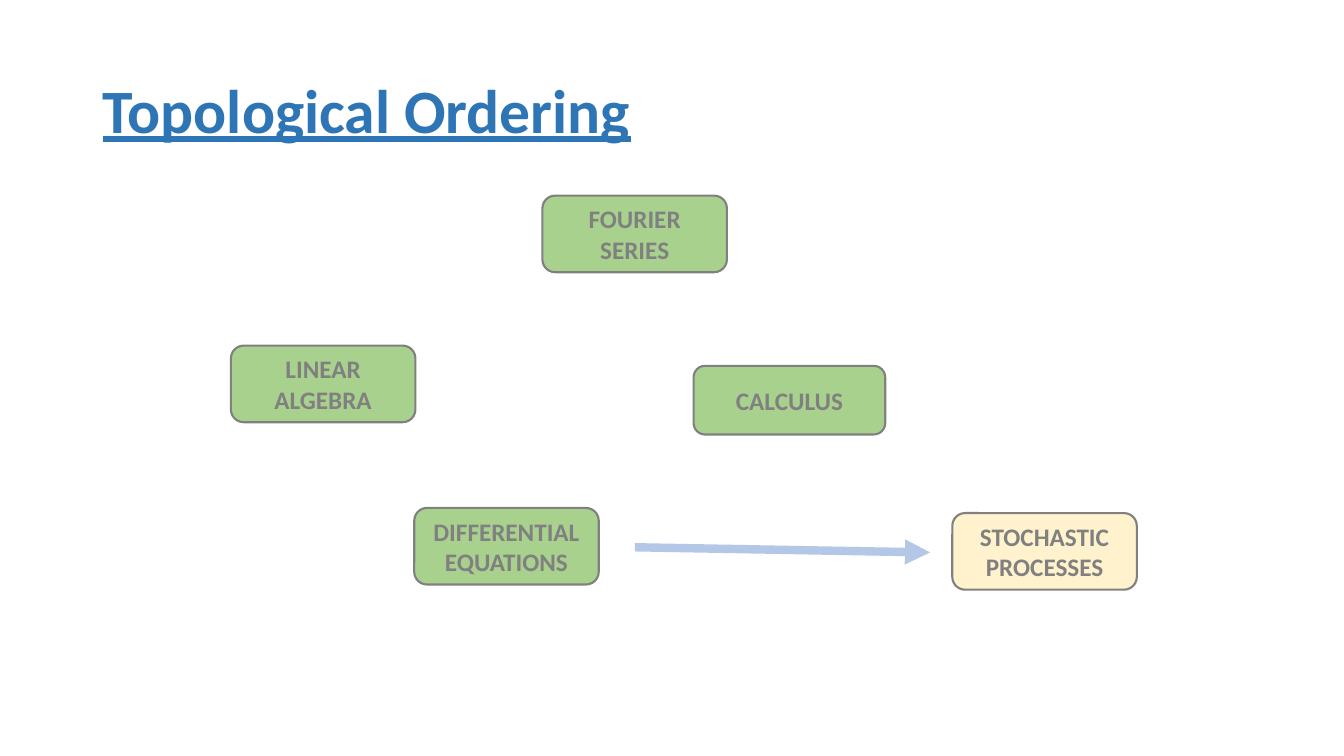
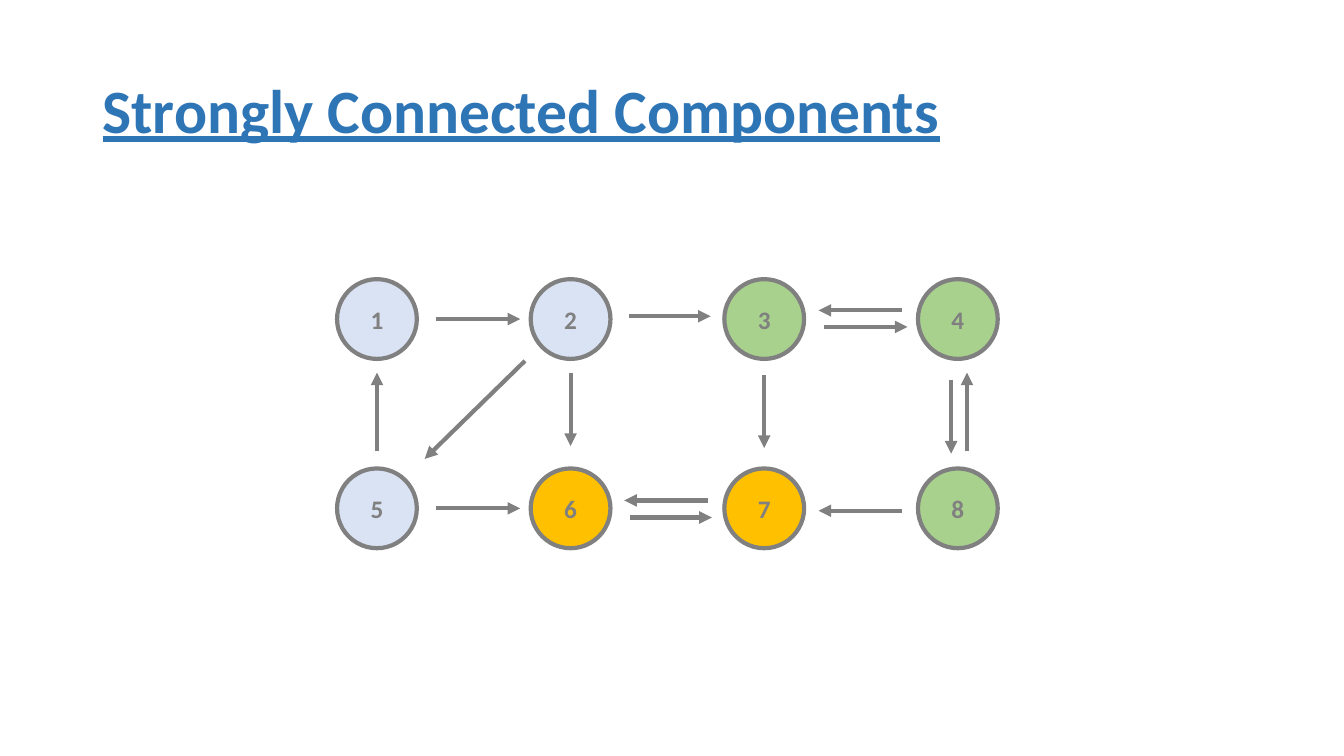
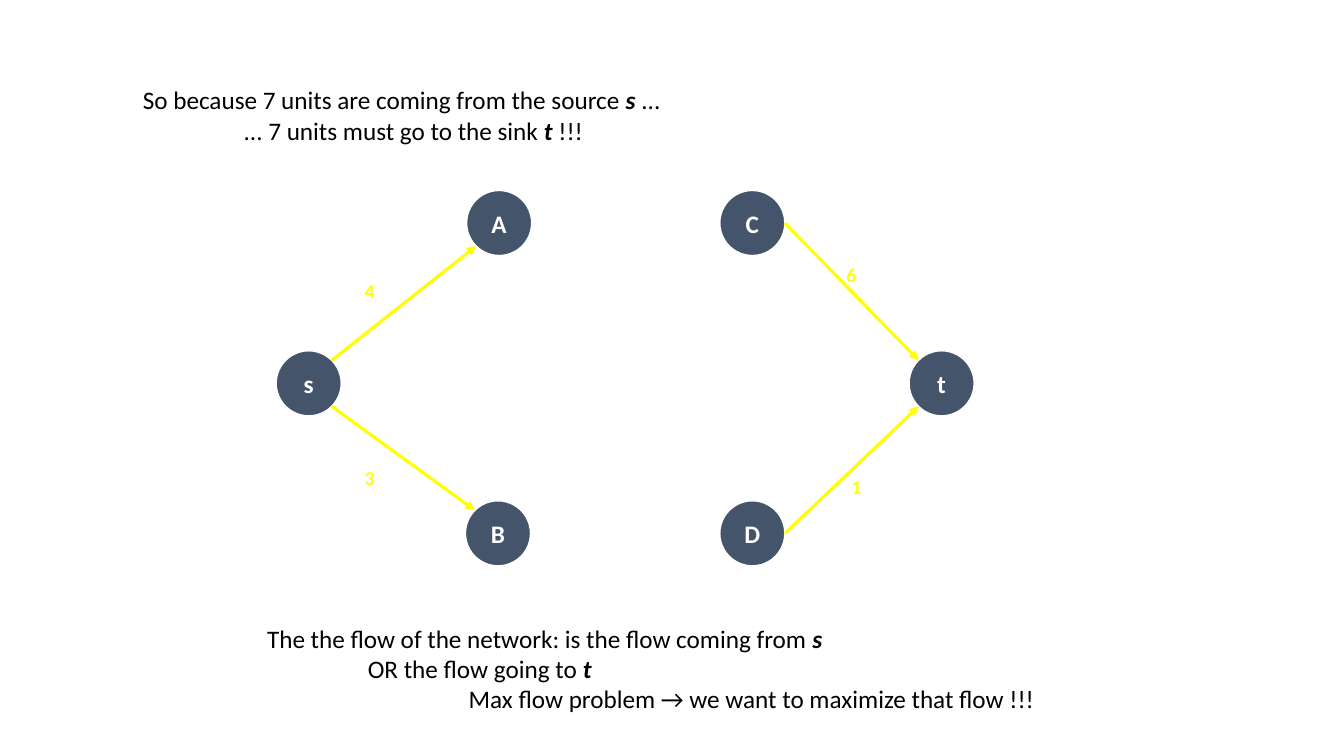
from math import cos, hypot, radians, sin

from lxml.etree import SubElement
from pptx import Presentation
from pptx.dml.color import RGBColor
from pptx.enum.shapes import MSO_CONNECTOR as Link, MSO_SHAPE as Kind
from pptx.enum.text import MSO_ANCHOR as Anchor, MSO_AUTO_SIZE as Fit, PP_ALIGN as Align
from pptx.oxml.ns import qn
from pptx.util import Cm, Pt

# Shared look
FONT = "Calibri"
BLUE = RGBColor(0x2E, 0x75, 0xB6)
GRAY = RGBColor(0x80, 0x80, 0x80)
GREEN = RGBColor(0xA9, 0xD1, 0x8E)
CREAM = RGBColor(0xFF, 0xF2, 0xCC)
SKY = RGBColor(0xB4, 0xC7, 0xE7)
PALE = RGBColor(0xDA, 0xE3, 0xF3)
GOLD = RGBColor(0xFF, 0xC0, 0x00)
SLATE = RGBColor(0x44, 0x54, 0x6A)
YELLOW = RGBColor(0xFF, 0xFF, 0x00)
WHITE = RGBColor(0xFF, 0xFF, 0xFF)
BLACK = RGBColor(0, 0, 0)

# Courses: text, left, top, width, height, fill
COURSES = [
    ("FOURIER SERIES", 13.67, 4.93, 4.65, 1.93, GREEN),
    ("LINEAR ALGEBRA", 5.82, 8.71, 4.65, 1.93, GREEN),
    ("DIFFERENTIAL\nEQUATIONS", 10.44, 12.8, 4.65, 1.93, GREEN),
    ("STOCHASTIC PROCESSES", 24, 12.93, 4.65, 1.93, CREAM),
    ("CALCULUS", 17.48, 9.22, 4.83, 1.73, GREEN),
]
NEXT = (16, 13.79), (23.44, 13.92)

# Graph: fills of nodes 1 to 8, four to a row
FILLS = [PALE, PALE, GREEN, GREEN, PALE, GOLD, GOLD, GREEN]
COLS, BALL = 4, 2.01
FIRST, STEP = (9.5, 8.04), (4.88, 4.77)
# Arcs: from, to, gap at start, gap at end, shift to the right of travel
ARCS = [
    (5, 1, 1.45, 1.35, 0), (8, 4, 1.45, 1.35, 0.23),
    (4, 8, 1.53, 1.38, 0.17), (3, 7, 1.42, 1.52, 0),
    (2, 6, 1.35, 1.57, 0), (2, 5, 1.56, 1.73, 0.05),
    (1, 2, 1.5, 1.27, 0), (5, 6, 1.5, 1.27, 0),
    (2, 3, 1.48, 1.35, -0.07), (3, 4, 1.5, 1.27, 0.2),
    (4, 3, 1.4, 1.37, 0.22), (6, 7, 1.5, 1.32, 0.23),
    (7, 6, 1.42, 1.35, 0.2), (8, 7, 1.4, 1.37, -0.06),
]

# Flow network: node centres, then pipes with their angles and labels
DISC = 1.64
NODES = {
    "s": (7.78, 9.66), "A": (12.58, 5.62), "C": (18.96, 5.62),
    "t": (23.73, 9.66), "B": (12.55, 13.44), "D": (18.96, 13.44),
}
PIPES = [
    ("s", "A", -45, 135, "4", (8.94, 6.91)),
    ("s", "B", 45, -135, "3", (8.94, 11.61)),
    ("D", "t", 0, 135, "1", (21.21, 11.84)),
    ("C", "t", 0, -135, "6", (21.08, 6.5)),
]
# Notes: text with *strong* names, left, top, width, height
NOTES = [
    ("So because 7 units are coming from the source *s* ...\n"
     "... 7 units must go to the sink *t* !!!", 3.35, 2.01, 16.28, 1.8),
    ("The the flow of the network: is the flow coming from *s*\n"
     "OR the flow going to *t*\n"
     "Max flow problem → we want to maximize that flow !!!", 6.48, 15.57, 22.48, 2.57),
]


def put(frame, text, size=18, color=GRAY, bold=True, under=False,
        align=Align.CENTER, anchor=Anchor.MIDDLE, space=1.0, indent=0):
    """Write lines; each is indented one step more, *marked* parts stand out."""
    frame.word_wrap = True
    frame.auto_size = Fit.NONE
    frame.vertical_anchor = anchor
    for i, row in enumerate(text.split("\n")):
        para = frame.add_paragraph() if i else frame.paragraphs[0]
        para.alignment, para.line_spacing = align, space
        if indent and i:
            para._p.get_or_add_pPr().set("marL", str(Cm(indent * i)))
        for j, part in enumerate(row.split("*")):
            if not part:
                continue
            run = para.add_run()
            run.text = part
            font = run.font
            font.name, font.size = FONT, Pt(size)
            font.bold, font.italic = bold or j % 2 == 1, j % 2 == 1
            font.underline = under
            font.color.rgb = color


def node(slide, kind, text, x, y, w, h, fill, edge=GRAY, width=1.5, color=GRAY):
    shape = slide.shapes.add_shape(kind, Cm(x), Cm(y), Cm(w), Cm(h))
    shape.shadow.inherit = False
    shape.fill.solid()
    shape.fill.fore_color.rgb = fill
    shape.line.color.rgb = edge
    shape.line.width = Pt(width)
    put(shape.text_frame, text, color=color)


def ball(slide, text, mid, size, fill, **look):
    x, y = (m - size / 2 for m in mid)
    node(slide, Kind.OVAL, text, x, y, size, size, fill, **look)


def arrow(slide, start, end, color, width):
    ends = [Cm(v) for v in (*start, *end)]
    link = slide.shapes.add_connector(Link.STRAIGHT, *ends)
    link.line.color.rgb = color
    link.line.width = Pt(width)
    props = link._element.spPr
    SubElement(props.find(qn("a:ln")), qn("a:tailEnd"), type="triangle")
    SubElement(props, qn("a:effectLst"))


def note(slide, text, x, y, w, h, **look):
    box = slide.shapes.add_textbox(Cm(x), Cm(y), Cm(w), Cm(h))
    put(box.text_frame, text, align=Align.LEFT, anchor=Anchor.TOP, **look)


def titled(deck, text):
    slide = deck.slides.add_slide(deck.slide_layouts[5])
    put(slide.shapes.title.text_frame, text, size=44, color=BLUE,
        under=True, align=Align.LEFT, space=0.9)
    return slide


def order(deck):
    slide = titled(deck, "Topological Ordering")
    for course in COURSES:
        node(slide, Kind.ROUNDED_RECTANGLE, *course)
    arrow(slide, *NEXT, SKY, 6)


def graph(deck):
    slide = titled(deck, "Strongly Connected Components")
    mids = {}
    for i, fill in enumerate(FILLS):
        row, col = divmod(i, COLS)
        mids[i + 1] = FIRST[0] + col * STEP[0], FIRST[1] + row * STEP[1]
        ball(slide, str(i + 1), mids[i + 1], BALL, fill, width=3)
    for a, b, near, far, shift in ARCS:
        (ax, ay), (bx, by) = mids[a], mids[b]
        span = hypot(bx - ax, by - ay)
        ux, uy = (bx - ax) / span, (by - ay) / span
        sx, sy = -uy * shift, ux * shift
        arrow(slide, (ax + ux * near + sx, ay + uy * near + sy),
              (bx - ux * far + sx, by - uy * far + sy), GRAY, 3)


def rim(name, angle):
    x, y = NODES[name]
    turn = radians(angle)
    return x + DISC / 2 * cos(turn), y + DISC / 2 * sin(turn)


def flow(deck):
    slide = deck.slides.add_slide(deck.slide_layouts[6])
    for name, mid in NODES.items():
        ball(slide, name, mid, DISC, SLATE, edge=WHITE, width=1, color=WHITE)
    for a, b, out, into, label, spot in PIPES:
        arrow(slide, rim(a, out), rim(b, into), YELLOW, 2.25)
        note(slide, label, *spot, 1.3, 0.86, size=14, color=YELLOW)
    for text, *area in NOTES:
        note(slide, text, *area, color=BLACK, bold=False, indent=2.54)


def main():
    deck = Presentation()
    deck.slide_width, deck.slide_height = Cm(33.87), Cm(19.05)
    # Title place for all titled slides
    head = deck.slide_layouts[5].placeholders[0]
    head.left, head.top, head.width, head.height = Cm(2.33), Cm(1.01), Cm(29.21), Cm(3.68)
    for build in (order, graph, flow):
        build(deck)
    deck.save("out.pptx")


if __name__ == "__main__":
    main()
